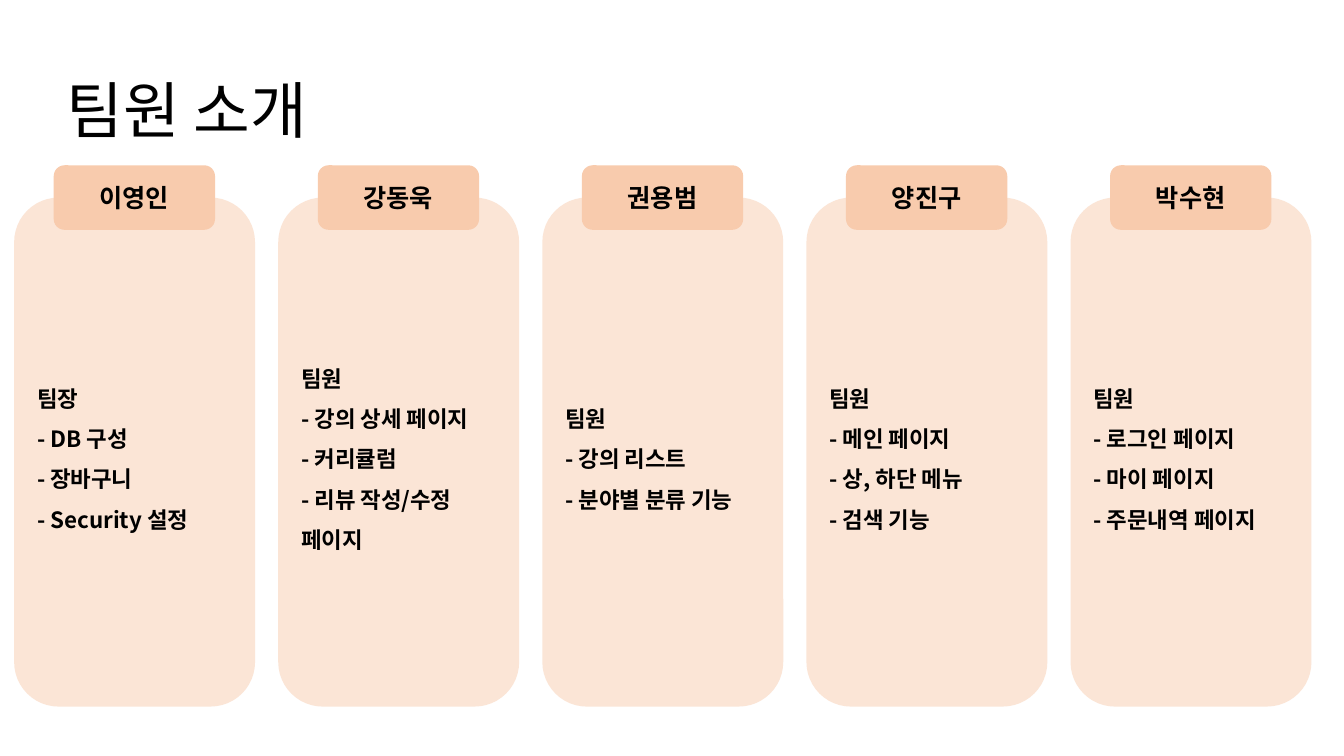
from pptx import Presentation
from pptx.dml.color import RGBColor
from pptx.enum import shapes, text
from pptx.oxml import ns
from pptx.util import Pt

BLACK = RGBColor(0x00, 0x00, 0x00)
CARD_FILL = RGBColor(0xFB, 0xE5, 0xD6)
BADGE_FILL = RGBColor(0xF8, 0xCB, 0xAD)
FONT = "Noto Sans CJK KR"

CARD_LEFT, CARD_TOP, CARD_WIDTH, CARD_HEIGHT = 10.1, 141.1, 172.1, 363.6
CARD_PITCH = 188.64
BADGE_INSET, BADGE_TOP, BADGE_WIDTH, BADGE_HEIGHT = 28.3, 118.1, 115.2, 46.1

TITLE_FONT = {"name": FONT, "size": Pt(44), "bold": False}
DUTY_FONT = {"name": FONT, "size": Pt(16), "bold": True}
NAME_FONT = {"name": FONT, "size": Pt(18), "bold": True}
TITLE_PARAGRAPH = {"alignment": text.PP_ALIGN.LEFT, "line_spacing": 0.9}
DUTY_PARAGRAPH = {"alignment": text.PP_ALIGN.LEFT, "line_spacing": 1.5}
NAME_PARAGRAPH = {"alignment": text.PP_ALIGN.CENTER}

MEMBERS = [
    ("이영인", ["팀장", "- DB 구성", "- 장바구니", "- Security 설정"]),
    ("강동욱", ["팀원", "- 강의 상세 페이지", "- 커리큘럼", "- 리뷰 작성/수정 페이지"]),
    ("권용범", ["팀원", "- 강의 리스트", "- 분야별 분류 기능"]),
    ("양진구", ["팀원", "- 메인 페이지", "- 상, 하단 메뉴", "- 검색 기능"]),
    ("박수현", ["팀원", "- 로그인 페이지", "- 마이 페이지", "- 주문내역 페이지"]),
]


def apply(target, values):
    for name, value in values.items():
        setattr(target, name, value)


def write_lines(holder, lines, font_values, paragraph_values):
    frame = holder.text_frame
    frame.text = "\n".join(lines)
    apply(frame, {"word_wrap": True, "vertical_anchor": text.MSO_ANCHOR.MIDDLE})
    for paragraph in frame.paragraphs:
        apply(paragraph, paragraph_values)
        for run in paragraph.runs:
            apply(run.font, font_values)
            run.font.color.rgb = BLACK
            east_asian = run.font._element.makeelement(ns.qn("a:ea"), {"typeface": FONT})
            run.font._element.find(ns.qn("a:latin")).addnext(east_asian)


def add_title(slide, wording):
    title = slide.shapes.title
    apply(title, {"left": Pt(40.3), "top": Pt(52.6), "width": Pt(676.8), "height": Pt(57.6)})
    write_lines(title, [wording], TITLE_FONT, TITLE_PARAGRAPH)


def add_panel(slide, box, fill, rounding):
    panel = slide.shapes.add_shape(
        shapes.MSO_SHAPE.ROUNDED_RECTANGLE, *(Pt(length) for length in box))
    panel.adjustments[0] = rounding
    panel.shadow.inherit = False
    panel.fill.solid()
    panel.fill.fore_color.rgb = fill
    panel.line.fill.background()
    return panel


def add_card(slide, left, duties):
    card = add_panel(slide, (left, CARD_TOP, CARD_WIDTH, CARD_HEIGHT), CARD_FILL, 0.185)
    write_lines(card, duties, DUTY_FONT, DUTY_PARAGRAPH)


def add_badge(slide, left, member):
    badge = add_panel(
        slide, (left, BADGE_TOP, BADGE_WIDTH, BADGE_HEIGHT), BADGE_FILL, 0.167)
    write_lines(badge, [member], NAME_FONT, NAME_PARAGRAPH)


def main():
    deck = Presentation()
    apply(deck, {"slide_width": Pt(960), "slide_height": Pt(540)})
    slide = deck.slides.add_slide(deck.slide_layouts.get_by_name("Title Only"))
    add_title(slide, "팀원 소개")
    for column, (member, duties) in enumerate(MEMBERS):
        left = CARD_LEFT + column * CARD_PITCH
        add_card(slide, left, duties)
        add_badge(slide, left + BADGE_INSET, member)
    deck.save("out.pptx")


if __name__ == "__main__":
    main()
